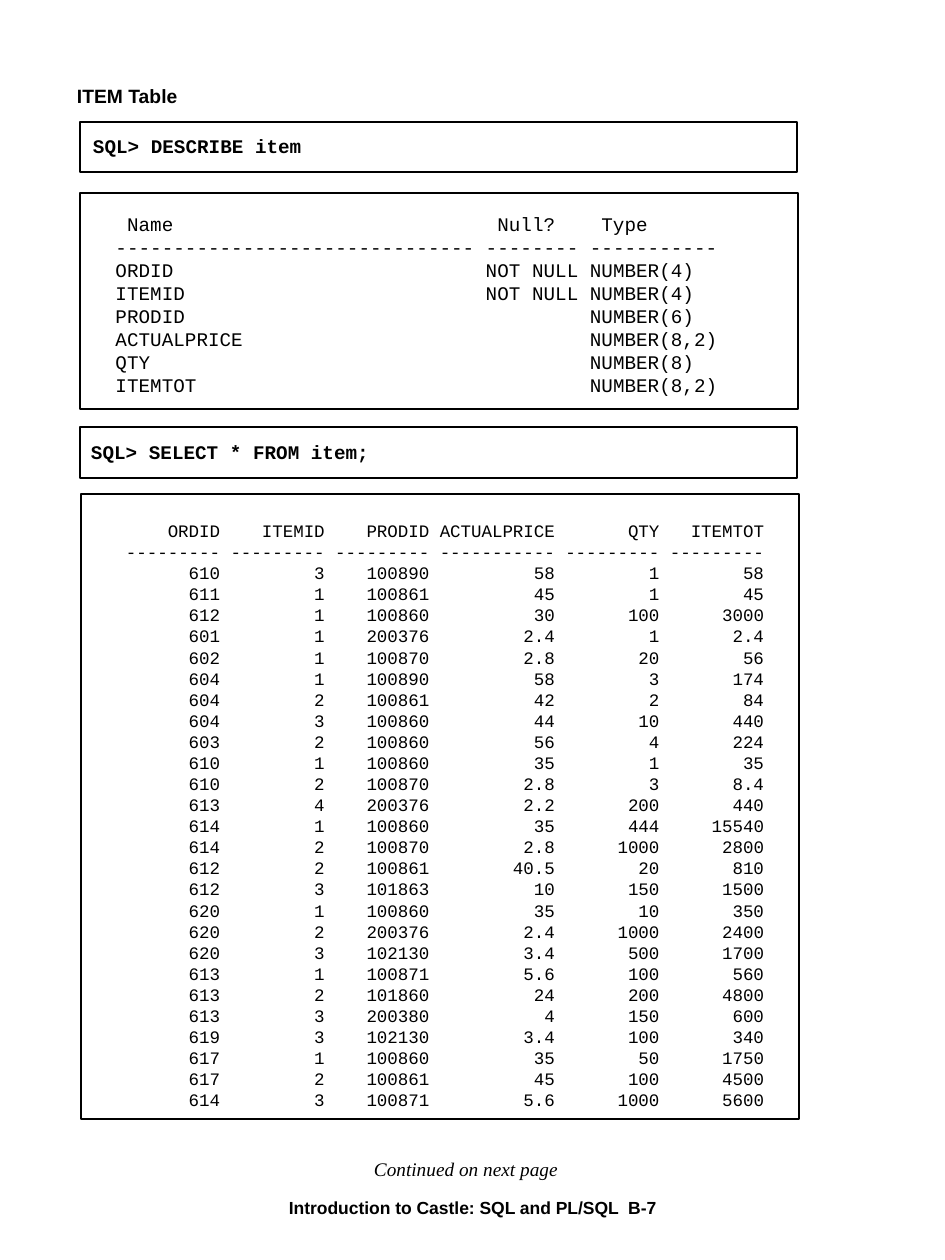
"""Build the ITEM table page of a SQL course book."""
from lxml import etree
from pptx import Presentation
from pptx import util as u
from pptx.dml.color import RGBColor
from pptx.enum import shapes, text
from pptx.oxml.ns import qn

SCALE = 914400 / 126
BLACK = "000000"
MONO = "Courier New"

DESCRIBE_STARTS = (1, 33, 42)
DESCRIBE_WIDTHS = (31, 8, 11)
DESCRIBE_ROWS = """
ORDID|NOT NULL|NUMBER(4)
ITEMID|NOT NULL|NUMBER(4)
PRODID||NUMBER(6)
ACTUALPRICE||NUMBER(8,2)
QTY||NUMBER(8)
ITEMTOT||NUMBER(8,2)
"""

ITEM_ENDS = (9, 19, 29, 41, 51, 61)
ITEM_WIDTHS = (9, 9, 9, 11, 9, 9)
ITEM_ROWS = """
ORDID ITEMID PRODID ACTUALPRICE QTY ITEMTOT
610 3 100890 58 1 58
611 1 100861 45 1 45
612 1 100860 30 100 3000
601 1 200376 2.4 1 2.4
602 1 100870 2.8 20 56
604 1 100890 58 3 174
604 2 100861 42 2 84
604 3 100860 44 10 440
603 2 100860 56 4 224
610 1 100860 35 1 35
610 2 100870 2.8 3 8.4
613 4 200376 2.2 200 440
614 1 100860 35 444 15540
614 2 100870 2.8 1000 2800
612 2 100861 40.5 20 810
612 3 101863 10 150 1500
620 1 100860 35 10 350
620 2 200376 2.4 1000 2400
620 3 102130 3.4 500 1700
613 1 100871 5.6 100 560
613 2 101860 24 200 4800
613 3 200380 4 150 600
619 3 102130 3.4 100 340
617 1 100860 35 50 1750
617 2 100861 45 100 4500
614 3 100871 5.6 1000 5600
"""


def px(value):
    """Turn pixels into EMU."""
    return u.Emu(round(value * SCALE))


def color(value):
    """Turn a hex string into a colour."""
    return RGBColor.from_string(value)


def set_tabs(para, stops, side):
    """Give a paragraph tab stops at pixel positions."""
    tabs = etree.SubElement(para._p.get_or_add_pPr(), qn("a:tabLst"))
    for stop in stops:
        etree.SubElement(tabs, qn("a:tab"), pos=str(px(stop)), algn=side)


def add_text(page, at, lines, size=11, font=MONO, bold=False, italic=False,
             align=text.PP_ALIGN.LEFT, spacing=None, inset=(13, 6),
             stops=(), side="l"):
    """Add a wrapping text box; stops holds the tab stops of each line."""
    box = page.shapes.add_textbox(*map(px, at))
    frame = box.text_frame
    frame.word_wrap = True
    frame.margin_left = frame.margin_right = px(inset[0])
    frame.margin_top = frame.margin_bottom = px(inset[1])
    for index, line in enumerate(lines):
        para = frame.add_paragraph() if index else frame.paragraphs[0]
        para.alignment = align
        if spacing:
            para.line_spacing = spacing
        if stops:
            set_tabs(para, stops[index], side)
        span = para.add_run()
        span.text = line
        span.font.size = u.Pt(size)
        span.font.name = font
        span.font.bold = bold
        span.font.italic = italic
        span.font.color.rgb = color(BLACK)


def add_frame(page, at):
    """Add an unfilled rectangle with a thin black outline."""
    frame = page.shapes.add_shape(shapes.MSO_SHAPE.RECTANGLE, *map(px, at))
    frame.shadow.inherit = False
    frame.fill.background()
    frame.line.color.rgb = color(BLACK)
    frame.line.width = u.Pt(0.99)


def add_command(page, frame_at, text_at, command):
    """Add a framed SQL command."""
    add_frame(page, frame_at)
    add_text(page, text_at, [command], bold=True, spacing=u.Pt(13.1))


def tabbed(cells):
    """Join cells so that each one follows a tab."""
    return "".join("\t" + cell for cell in cells).rstrip()


def dashes(widths):
    """Make the rule line under the column heads."""
    return tabbed("-" * width for width in widths)


def add_describe(page):
    """Add the framed column description."""
    char = 11.57
    rows = [tabbed(row.split("|")) for row in DESCRIBE_ROWS.split("\n") if row]
    lines = [tabbed(("Name", "Null?", "Type")), dashes(DESCRIBE_WIDTHS), *rows]
    body = [start * char for start in DESCRIBE_STARTS]
    head = [stop + char for stop in body]
    add_frame(page, (80, 193, 718, 216))
    add_text(page, (91, 206, 640, 198), lines, spacing=u.Pt(13.15),
             stops=[head] + [body] * (len(lines) - 1))


def add_items(page):
    """Add the framed query result."""
    char = 10.46
    head, *rows = [tabbed(row.split()) for row in ITEM_ROWS.split("\n") if row]
    lines = [head, dashes(ITEM_WIDTHS), *rows]
    stops = [end * char for end in ITEM_ENDS]
    add_frame(page, (81, 494, 718, 625))
    add_text(page, (113, 514, 670, 602), lines, size=10, spacing=u.Pt(12.05),
             stops=[stops] * len(lines), side="r")


def main():
    """Build the page and save it."""
    deck = Presentation()
    deck.slide_width, deck.slide_height = px(945), px(1260)
    page = deck.slides.add_slide(deck.slide_layouts[6])
    add_text(page, (66, 77, 786, 40), ["ITEM Table"], font="Arial", bold=True,
             spacing=1.1, inset=(11, 5))
    add_command(page, (80, 122, 717, 50), (80, 129, 290, 35),
                "SQL> DESCRIBE item")
    add_describe(page)
    add_command(page, (80, 427, 717, 51), (78, 435, 358, 35),
                "SQL> SELECT * FROM item;")
    add_items(page)
    add_text(page, (361, 1151, 240, 35), ["Continued on next page"],
             font="Times New Roman", italic=True)
    add_text(page, (107, 1197, 731, 21),
             ["Introduction to Castle: SQL and PL/SQL  B-7"], size=10,
             font="Arial", bold=True, align=text.PP_ALIGN.CENTER,
             inset=(0, 0))
    deck.save("out.pptx")


main()
